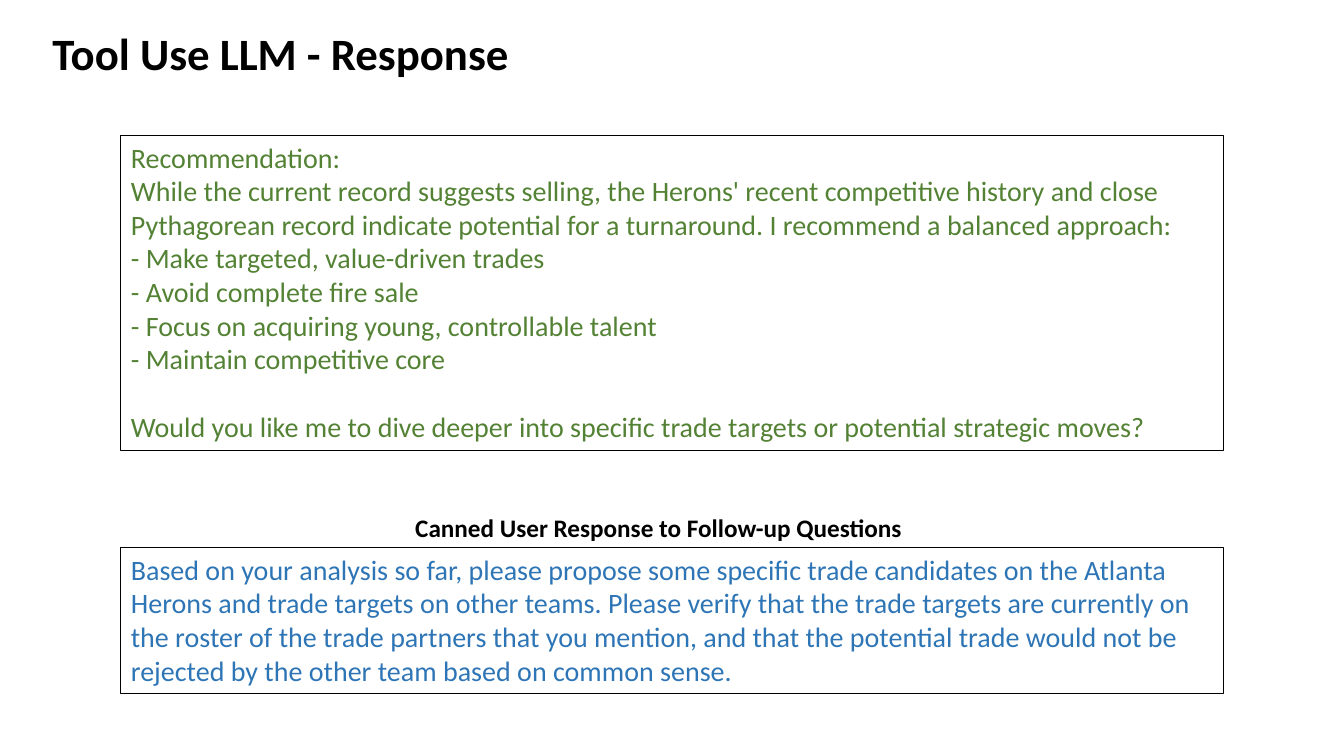
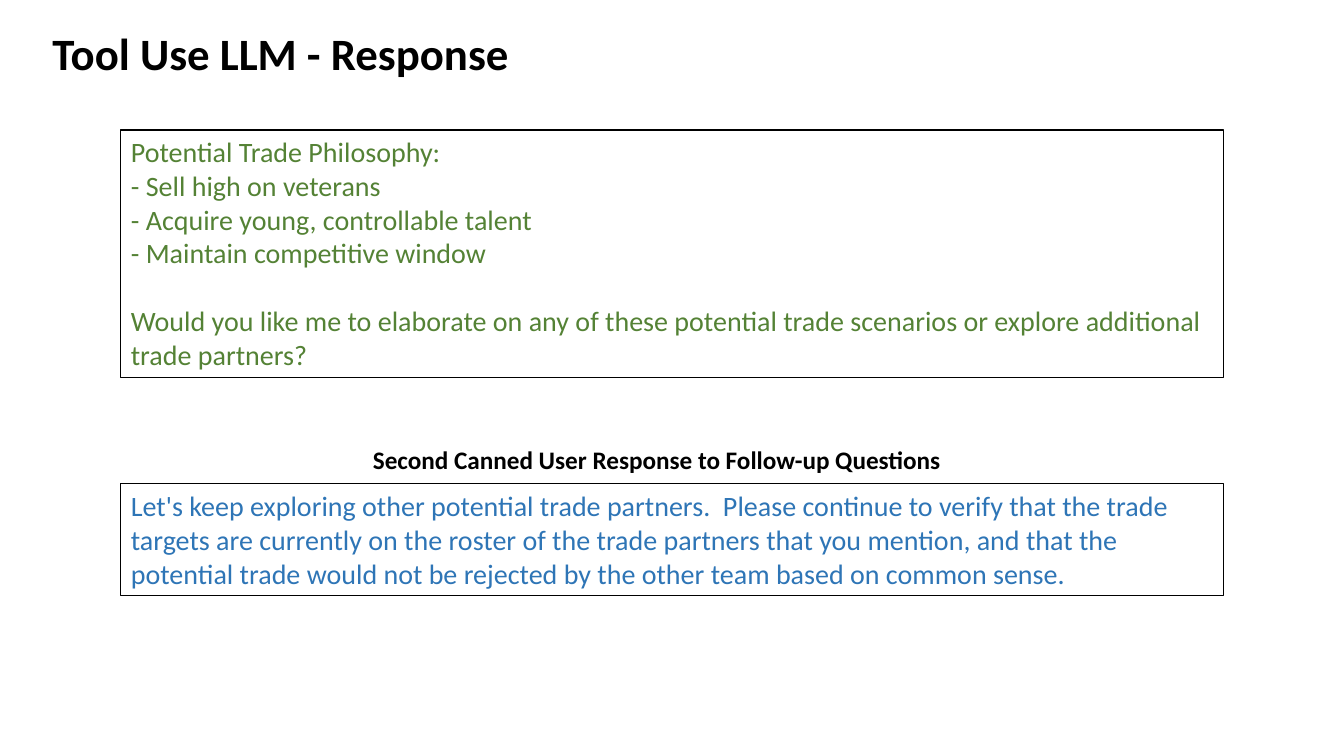
from pptx import Presentation
from pptx.dml.color import RGBColor
from pptx.enum.shapes import MSO_SHAPE
from pptx.enum.text import MSO_ANCHOR, MSO_AUTO_SIZE, PP_ALIGN
from pptx.util import Pt

# Shared look: 100 px make one inch
PX = 9144
FONT = "Calibri"
BLACK = RGBColor(0x00, 0x00, 0x00)
GREEN = RGBColor(0x54, 0x82, 0x35)
BLUE = RGBColor(0x2E, 0x75, 0xB6)
BOX_X, BOX_W = 120, 1094
HEAD_H = 40
TITLE = "Tool Use LLM - Response"
LINE_GAP = Pt(24.4)  # one line of 20 pt text


def px(*nums):
    return [n * PX for n in nums]


def add_run(para, text, size, color, bold=False):
    run = para.add_run()
    run.text = text
    font = run.font
    font.name, font.size, font.bold = FONT, Pt(size), bold
    font.color.rgb = color


def add_title(slide):
    title = slide.shapes.title
    title.left, title.top, title.width, title.height = px(42, 14, 567, 83)
    frame = title.text_frame
    frame.vertical_anchor = MSO_ANCHOR.MIDDLE
    para = frame.paragraphs[0]
    para.alignment = PP_ALIGN.LEFT
    para.line_spacing = 0.9
    add_run(para, TITLE, 32, BLACK, True)


def add_box(slide, top, height, color, lines, closing=None):
    """Add an outlined text box; the closing line stands one line apart."""
    box = slide.shapes.add_shape(
        MSO_SHAPE.RECTANGLE, *px(BOX_X, top, BOX_W, height))
    box.shadow.inherit = False
    box.fill.background()
    box.line.color.rgb = BLACK
    box.line.width = Pt(0.75)
    frame = box.text_frame
    frame.word_wrap = True
    frame.auto_size = MSO_AUTO_SIZE.SHAPE_TO_FIT_TEXT
    frame.vertical_anchor = MSO_ANCHOR.TOP
    texts = lines + ([closing] if closing else [])
    for i, text in enumerate(texts):
        para = frame.add_paragraph() if i else frame.paragraphs[0]
        para.alignment = PP_ALIGN.LEFT
        add_run(para, text, 20, color)
    if closing:
        para.space_before = LINE_GAP


def add_head(slide, left, top, width, text):
    head = slide.shapes.add_textbox(*px(left, top, width, HEAD_H))
    frame = head.text_frame
    frame.word_wrap = False
    frame.auto_size = MSO_AUTO_SIZE.SHAPE_TO_FIT_TEXT
    add_run(frame.paragraphs[0], text, 18, BLACK, True)


def add_page(deck, answer, reply, head):
    slide = deck.slides.add_slide(deck.slide_layouts[5])  # title only
    add_title(slide)
    add_box(slide, *answer)
    add_box(slide, *reply)
    add_head(slide, *head)


def main():
    deck = Presentation()
    deck.slide_width, deck.slide_height = px(1333, 750)

    # First answer and follow-up
    add_page(
        deck,
        (134, 313, GREEN, [
            "Recommendation:",
            "While the current record suggests selling, the Herons' recent "
            "competitive history and close Pythagorean record indicate "
            "potential for a turnaround. I recommend a balanced approach:",
            "- Make targeted, value-driven trades",
            "- Avoid complete fire sale",
            "- Focus on acquiring young, controllable talent",
            "- Maintain competitive core",
        ], "Would you like me to dive deeper into specific trade targets "
           "or potential strategic moves?"),
        (543, 145, BLUE, [
            "Based on your analysis so far, please propose some specific "
            "trade candidates on the Atlanta Herons and trade targets on "
            "other teams. Please verify that the trade targets are "
            "currently on the roster of the trade partners that you "
            "mention, and that the potential trade would not be rejected "
            "by the other team based on common sense.",
        ]),
        (402, 503, 507, "Canned User Response to Follow-up Questions"))

    # Second answer and follow-up
    add_page(
        deck,
        (129, 246, GREEN, [
            "Potential Trade Philosophy:",
            "- Sell high on veterans",
            "- Acquire young, controllable talent",
            "- Maintain competitive window",
        ], "Would you like me to elaborate on any of these potential trade "
           "scenarios or explore additional trade partners?"),
        (480, 111, BLUE, [
            "Let's keep exploring other potential trade partners.  Please "
            "continue to verify that the trade targets are currently on "
            "the roster of the trade partners that you mention, and that "
            "the potential trade would not be rejected by the other team "
            "based on common sense.",
        ]),
        (360, 436, 588,
         "Second Canned User Response to Follow-up Questions"))

    deck.save("out.pptx")


if __name__ == "__main__":
    main()
